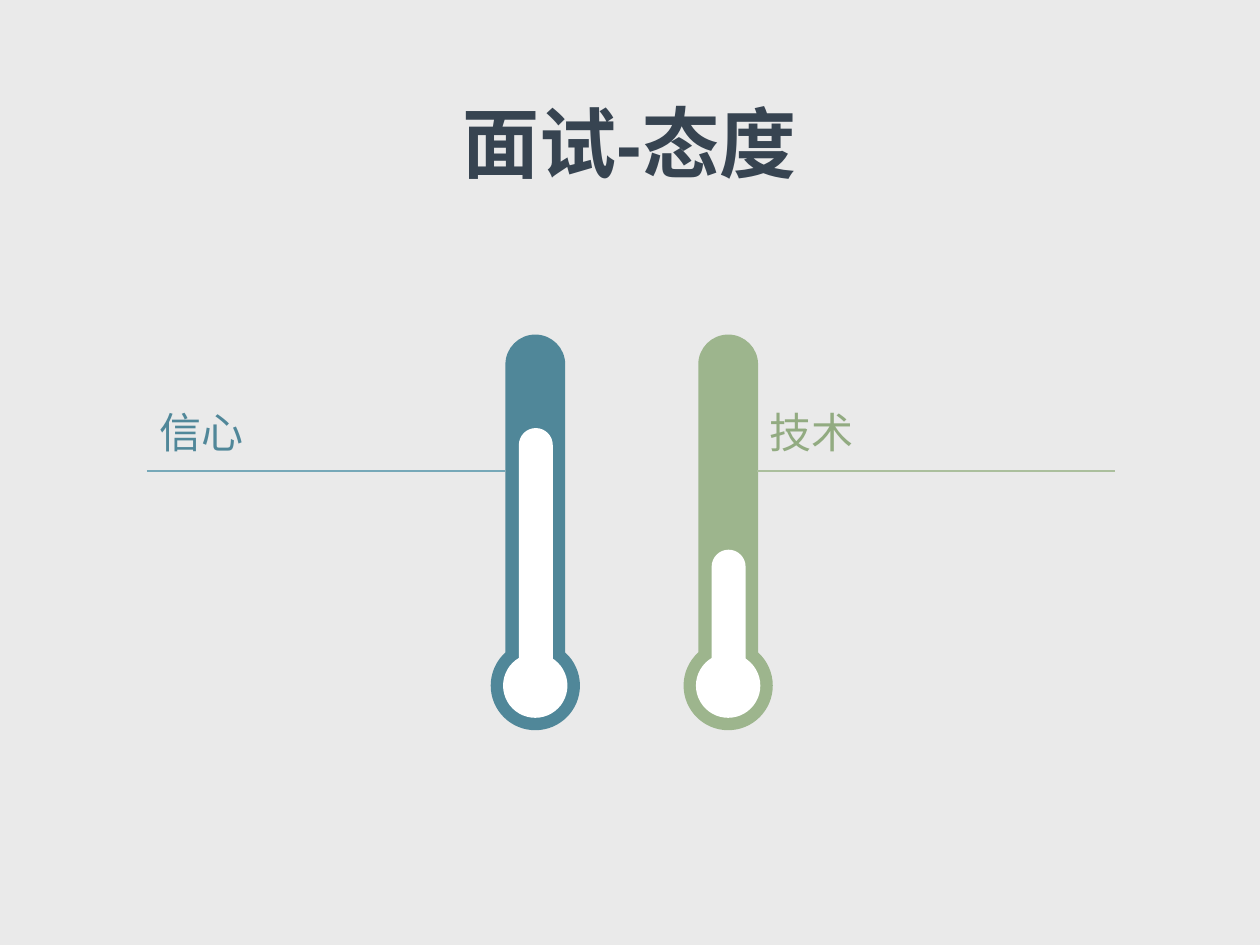
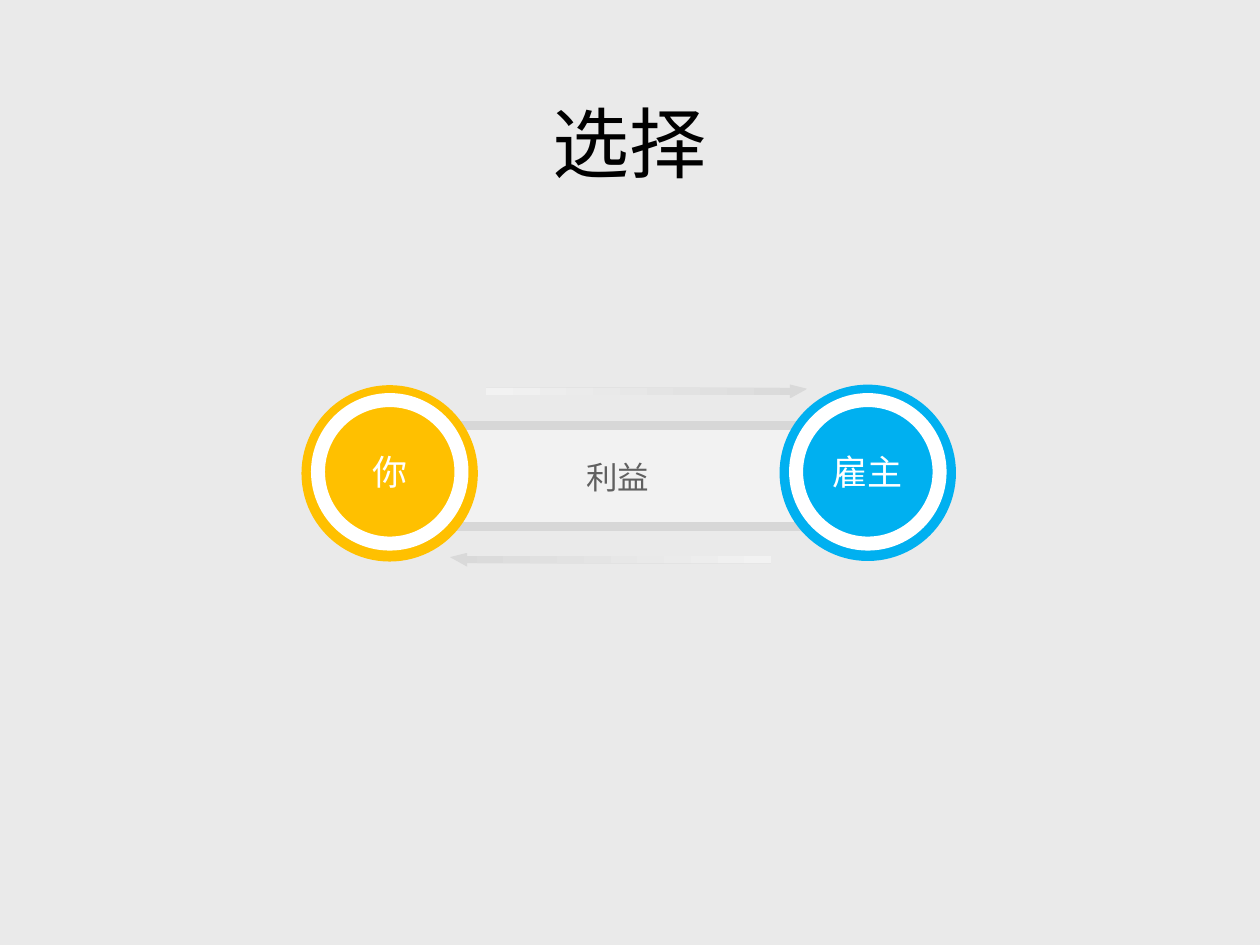
from dataclasses import dataclass
from math import acos, cos, degrees, isclose, radians, sin, tan

from lxml.etree import SubElement
from pptx import Presentation
from pptx.dml.color import RGBColor
from pptx.enum.shapes import MSO_CONNECTOR, MSO_SHAPE
from pptx.enum.text import MSO_ANCHOR, PP_ALIGN
from pptx.oxml.ns import qn
from pptx.util import Pt


@dataclass(frozen=True)
class Theme:
    background: str = "EAEAEA"
    white: str = "FFFFFF"
    band_fill: str = "F2F2F2"
    band_line: str = "D7D7D7"
    arrow_dark: str = "D9D9D9"
    arrow_light: str = "F2F2F2"
    label_gray: str = "606060"
    title_font: str = "Arial"
    body_font: str = "Noto Sans CJK SC"
    title_size: int = 44
    caption_size: int = 24
    party_size: int = 20
    label_size: int = 18


THEME = Theme()
TITLE_BOX = (49.1, 28.8, 621.4, 104.4)

ATTITUDE = {
    "title": "面试-态度",
    "color": "374451",
    "bold": True,
    "gauges": [
        {"text": "技术", "center": 416.1, "level": 314.1, "fill": "9DB58D",
         "line": "ABBF9D", "ink": "92AB81", "caption_left": 432.8},
        {"text": "信心", "center": 305.9, "level": 244.6, "fill": "508799",
         "line": "76A8B8", "ink": "508799", "caption_left": 84},
    ],
}
CHOICE = {
    "title": "选择",
    "color": "000000",
    "bold": False,
    "parties": [
        {"text": "你", "center": 222.7, "middle": 270.5, "fill": "FFC000"},
        {"text": "雇主", "center": 495.9, "middle": 270.2, "fill": "00B0F0"},
    ],
    "shared": "利益",
    "arrows": [
        {"tail": 277.7, "top": 219.7, "direction": 1},
        {"tail": 440.7, "top": 315.9, "direction": -1},
    ],
}

TUBE_TOP, TUBE_RADIUS = 191.2, 17.1
BULB_MIDDLE, BULB_RADIUS, BULB_CORE = 391.8, 25.5, 18.4
COLUMN_RADIUS, COLUMN_BOTTOM, COLUMN_SHIFT = 9.7, 388.4, 0.3
CAPTION_TOP, CAPTION_WIDTH, CAPTION_HEIGHT, RULE_TOP = 228.6, 204.4, 36, 269
DISC_MIDDLE, RING_RADIUS, DISC_RADIUS = 269.6, 50.4, 41
ARROW_OUTLINE = [(0, 2), (173.7, 2), (173.7, 0), (183.6, 2.5),
                 (173.7, 8), (173.7, 6), (0, 6)]


@dataclass(frozen=True)
class Arc:
    center: float
    middle: float
    radius: float
    start: float
    end: float

    def point(self, angle, pull=0):
        turn = radians(angle)
        return (self.center + self.radius * (cos(turn) - pull * sin(turn)),
                self.middle + self.radius * (sin(turn) + pull * cos(turn)))

    def curve(self):
        pull = 4 / 3 * tan(radians(self.end - self.start) / 4)
        return [self.point(self.start, pull), self.point(self.end, -pull),
                self.point(self.end)]


def color(code):
    return RGBColor.from_string(code)


def write(shape, text, size, ink, font=THEME.body_font, align=PP_ALIGN.CENTER,
          anchor=MSO_ANCHOR.MIDDLE, margins=(0, 0), bold=False, spacing=None):
    frame = shape.text_frame
    frame.word_wrap = True
    frame.vertical_anchor = anchor
    frame.margin_left = frame.margin_right = Pt(margins[0])
    frame.margin_top = frame.margin_bottom = Pt(margins[1])
    para = frame.paragraphs[0]
    para.alignment = align
    if spacing:
        para.line_spacing = spacing
    span = para.add_run()
    span.text = text
    span.font.name = font
    span.font.size = Pt(size)
    span.font.bold = bold
    span.font.color.rgb = color(ink)
    east_asian = SubElement(span.font._element, qn("a:ea"))
    east_asian.set("typeface", THEME.body_font)


def add_text(page, place, text, size, ink, **style):
    box = page.shapes.add_textbox(*map(Pt, place))
    write(box, text, size, ink, **style)


def paint(shape, fill=None, line=None, line_width=0):
    shape.shadow.inherit = False
    if fill:
        shape.fill.solid()
        shape.fill.fore_color.rgb = color(fill)
    else:
        shape.fill.background()
    if line:
        shape.line.color.rgb = color(line)
        shape.line.width = Pt(line_width)
    else:
        shape.line.fill.background()


def add_preset(page, kind, place, *look):
    shape = page.shapes.add_shape(kind, *map(Pt, place))
    paint(shape, *look)
    return shape


def add_circle(page, center, middle, radius, *look):
    place = (center - radius, middle - radius, 2 * radius, 2 * radius)
    return add_preset(page, MSO_SHAPE.OVAL, place, *look)


def add_outline(page, points):
    corners = [(Pt(x), Pt(y)) for x, y in points]
    builder = page.shapes.build_freeform(*corners[0])
    builder.add_line_segments(corners[1:], close=True)
    return builder.convert_to_shape()


def add_rounded_outline(page, arcs, fill):
    points, bends = [arcs[0].point(arcs[0].start)], []
    for bend in arcs:
        start = bend.point(bend.start)
        if not all(map(isclose, start, points[-1])):
            points.append(start)
            bends.append(None)
        points.append(bend.point(bend.end))
        bends.append(bend)
    shape = add_outline(page, points)
    for side, bend in zip(list(shape._element.iter(qn("a:lnTo"))), bends):
        if bend:
            curve = SubElement(side.getparent(), qn("a:cubicBezTo"))
            for x, y in bend.curve():
                spot = SubElement(curve, qn("a:pt"))
                spot.set("x", str(Pt(x) - shape.left))
                spot.set("y", str(Pt(y) - shape.top))
            side.getparent().replace(side, curve)
    paint(shape, fill)


def quarters(center, middle, radius, *angles):
    return [Arc(center, middle, radius, start, end)
            for start, end in zip(angles, angles[1:])]


def add_rule(page, left, top, width, ink):
    rule = page.shapes.add_connector(
        MSO_CONNECTOR.STRAIGHT, Pt(left), Pt(top), Pt(left + width), Pt(top))
    rule.line.color.rgb = color(ink)
    rule.line.width = Pt(1)
    SubElement(rule._element.spPr, qn("a:effectLst"))


def add_gauge(page, gauge):
    center = gauge["center"]
    neck = degrees(acos(TUBE_RADIUS / BULB_RADIUS))
    cap = quarters(center, TUBE_TOP + TUBE_RADIUS, TUBE_RADIUS, 180, 270, 360)
    bulb = quarters(center, BULB_MIDDLE, BULB_RADIUS, -neck, 0, 90, 180, 180 + neck)
    add_rounded_outline(page, cap + bulb, gauge["fill"])
    add_circle(page, center, BULB_MIDDLE, BULB_CORE, THEME.white)
    middle = center + COLUMN_SHIFT
    column = (quarters(middle, gauge["level"] + COLUMN_RADIUS, COLUMN_RADIUS, 180, 270, 360)
              + quarters(middle, COLUMN_BOTTOM - COLUMN_RADIUS, COLUMN_RADIUS, 0, 90, 180))
    add_rounded_outline(page, column, THEME.white)


def add_caption(page, gauge):
    left = gauge["caption_left"]
    add_rule(page, left, RULE_TOP, CAPTION_WIDTH, gauge["line"])
    add_text(page, (left, CAPTION_TOP, CAPTION_WIDTH, CAPTION_HEIGHT),
             gauge["text"], THEME.caption_size, gauge["ink"],
             align=PP_ALIGN.LEFT, anchor=MSO_ANCHOR.TOP, margins=(7.2, 3.6))


def add_arrow(page, arrow):
    direction = arrow["direction"]
    shape = add_outline(page, [(arrow["tail"] + direction * x, arrow["top"] + y)
                               for x, y in ARROW_OUTLINE])
    paint(shape, THEME.arrow_dark)
    shape.fill.gradient()
    shape.fill.gradient_angle = 180 if direction > 0 else 0
    stops = zip(shape.fill.gradient_stops, (THEME.arrow_dark, THEME.arrow_light), (0, 1))
    for stop, shade, position in stops:
        stop.color.rgb = color(shade)
        stop.position = position


def add_page(deck, content):
    page = deck.slides.add_slide(deck.slide_layouts[6])
    page.background.fill.solid()
    page.background.fill.fore_color.rgb = color(THEME.background)
    add_text(page, TITLE_BOX, content["title"], THEME.title_size, content["color"],
             font=THEME.title_font, bold=content["bold"], margins=(7.2, 3.6))
    return page


def build_attitude(deck):
    page = add_page(deck, ATTITUDE)
    for gauge in ATTITUDE["gauges"]:
        add_gauge(page, gauge)
    for gauge in reversed(ATTITUDE["gauges"]):
        add_caption(page, gauge)


def build_choice(deck):
    page = add_page(deck, CHOICE)
    add_preset(page, MSO_SHAPE.RECTANGLE, (259.2, 243.2, 200, 57.6),
               THEME.band_fill, THEME.band_line, 5)
    for party in CHOICE["parties"]:
        add_circle(page, party["center"], party["middle"], RING_RADIUS, party["fill"])
        disc = add_circle(page, party["center"], DISC_MIDDLE, DISC_RADIUS,
                          party["fill"], THEME.white, 8)
        write(disc, party["text"], THEME.party_size, THEME.white)
    for arrow in CHOICE["arrows"]:
        add_arrow(page, arrow)
    label = add_preset(page, MSO_SHAPE.ROUNDED_RECTANGLE, (270.2, 211, 165.6, 116.6))
    label.adjustments[0] = 0.04
    write(label, CHOICE["shared"], THEME.label_size, THEME.label_gray, spacing=1.3)


def main():
    deck = Presentation()
    deck.slide_width, deck.slide_height = Pt(720), Pt(540)
    build_attitude(deck)
    build_choice(deck)
    deck.save("out.pptx")


if __name__ == "__main__":
    main()
